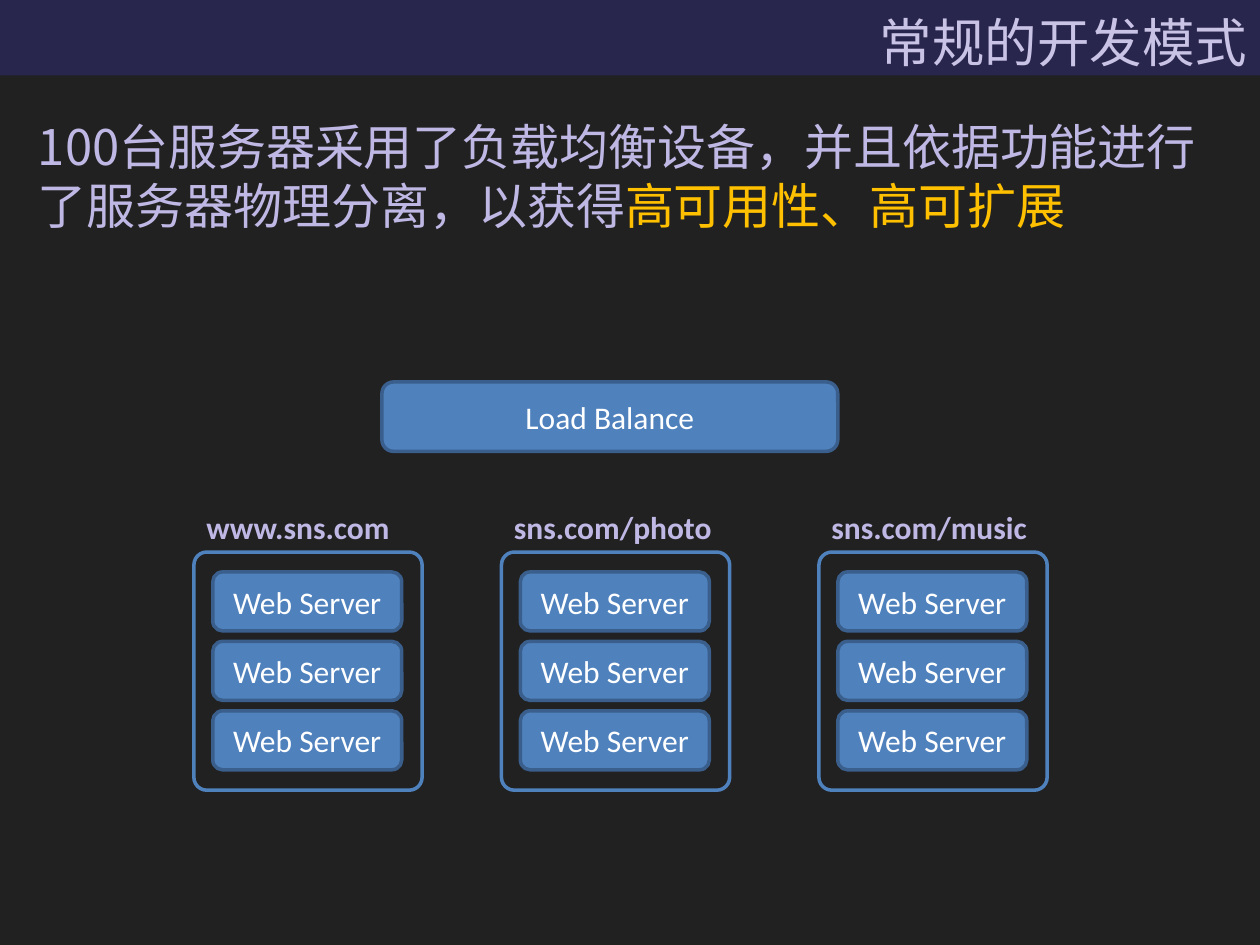
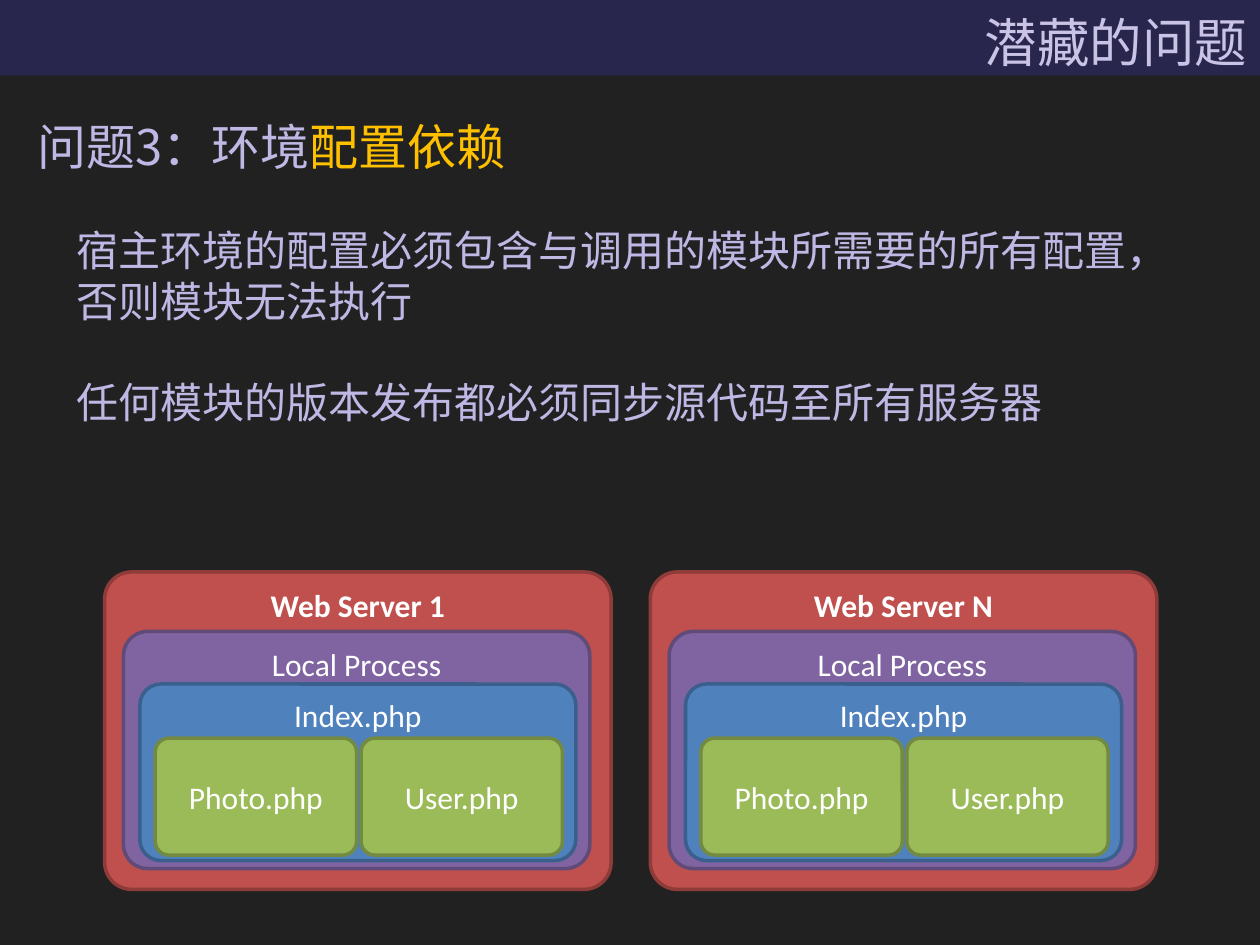
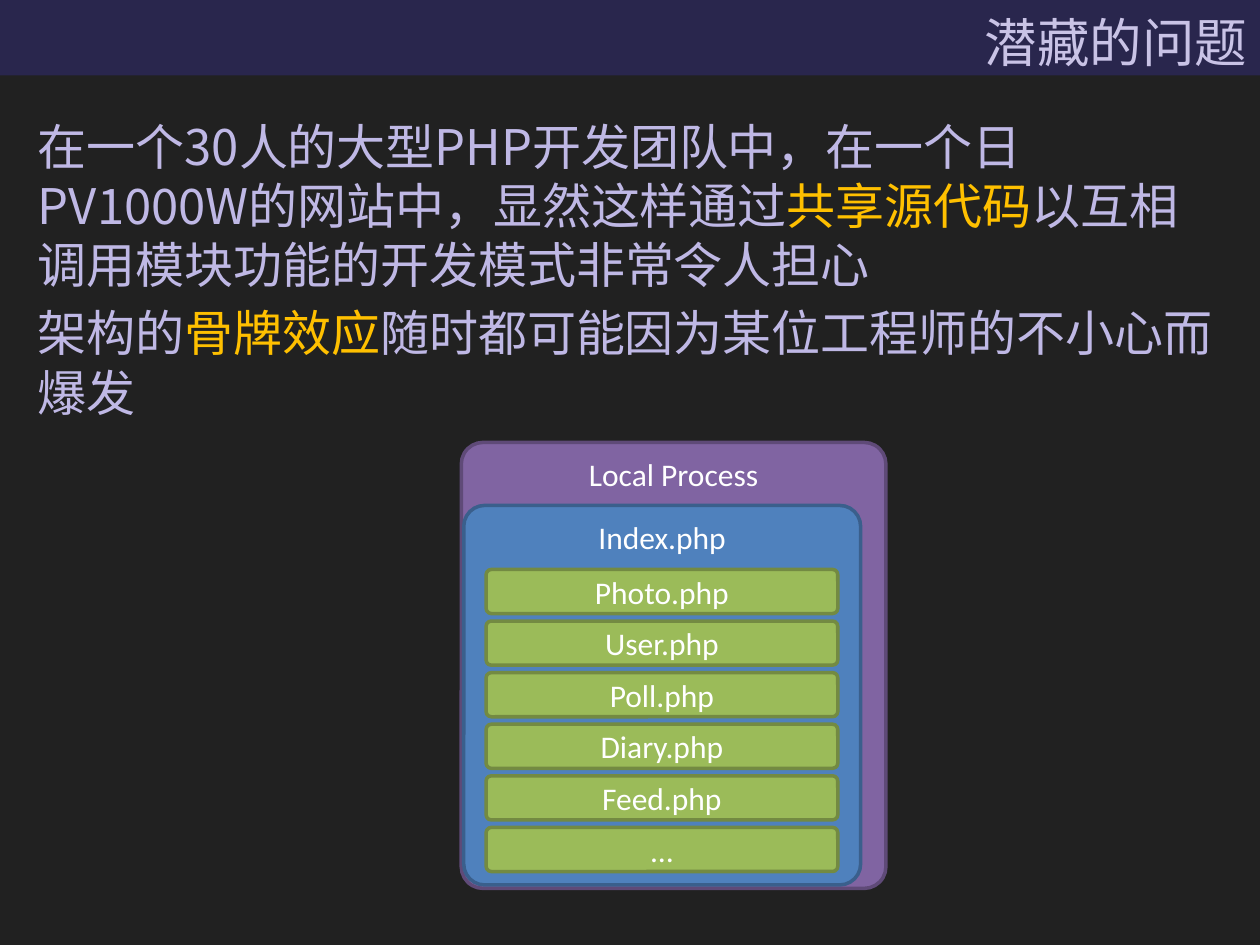
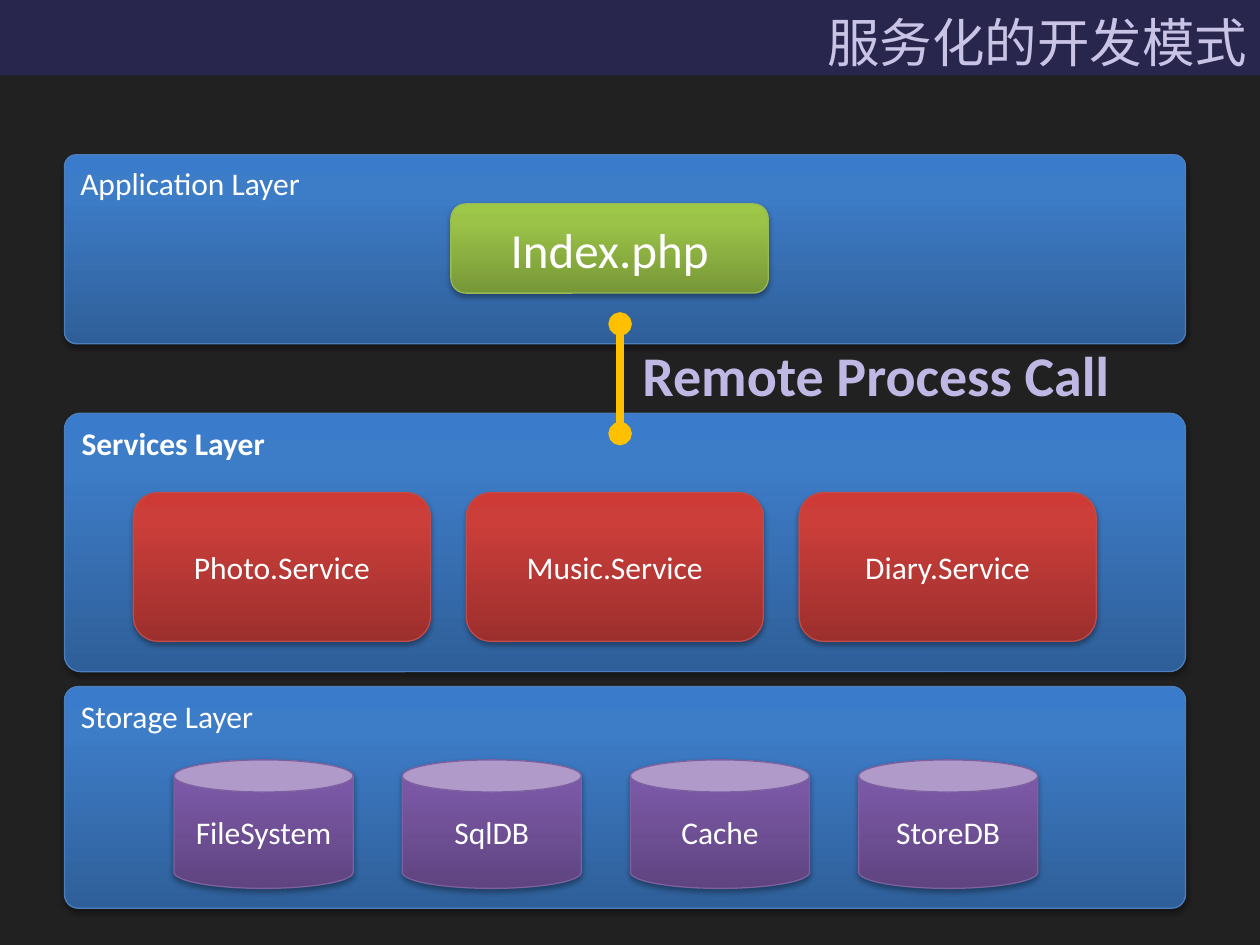
"""Build four slides on moving from shared source code to services."""
from lxml import etree
from pptx import Presentation
from pptx.dml.color import RGBColor
from pptx.enum.shapes import MSO_CONNECTOR, MSO_SHAPE
from pptx.enum.text import MSO_ANCHOR, MSO_AUTO_SIZE, PP_ALIGN
from pptx.oxml.ns import qn
from pptx.util import Cm, Pt

ROUND, CAN = MSO_SHAPE.ROUNDED_RECTANGLE, MSO_SHAPE.CAN
LEFT, MID, RIGHT = PP_ALIGN.LEFT, PP_ALIGN.CENTER, PP_ALIGN.RIGHT
TOP, CENTER = MSO_ANCHOR.TOP, MSO_ANCHOR.MIDDLE
STRAIGHT = MSO_CONNECTOR.STRAIGHT
FIXED = MSO_AUTO_SIZE.NONE

LATIN, HAN = "Calibri", "Noto Sans CJK SC"
DARK = RGBColor(0x21, 0x21, 0x21)
BAND = RGBColor(0x29, 0x26, 0x4D)
PALE = RGBColor(0xC9, 0xC3, 0xE6)
LILAC = RGBColor(0xBF, 0xB8, 0xE5)
GOLD = RGBColor(0xFF, 0xC0, 0x00)
WHITE = RGBColor(0xFF, 0xFF, 0xFF)
BLUE = RGBColor(0x4F, 0x81, 0xBD)
NAVY = RGBColor(0x3A, 0x5F, 0x8C)
RED = RGBColor(0xC0, 0x50, 0x4D)
WINE = RGBColor(0x8E, 0x3B, 0x39)
VIOLET = RGBColor(0x80, 0x64, 0xA2)
PLUM = RGBColor(0x5F, 0x4A, 0x78)
GREEN = RGBColor(0x9B, 0xBB, 0x59)
MOSS = RGBColor(0x73, 0x8A, 0x42)

FLAT = {"blue": (BLUE, NAVY), "red": (RED, WINE),
        "violet": (VIOLET, PLUM), "green": (GREEN, MOSS)}
GLOSS = {
    "blue": (("2F5F99", "3D7CC7", "3A7CCB"), RGBColor(0x4B, 0x7E, 0xBC)),
    "red": (("9C2F2D", "CB3E3A", "CE3B37"), RGBColor(0xBF, 0x4C, 0x48)),
    "violet": (("5F4480", "7B58A6", "7C57A8"), RGBColor(0x7D, 0x60, 0xA0)),
    "green": (("779737", "9BC348", "9DC746"), RGBColor(0x98, 0xB9, 0x55)),
}
STOPS = (0, 80000, 100000)

# Within a paragraph every second run is highlighted.
PAGES = [
    ("常规的开发模式",
     [("100台服务器采用了负载均衡设备，并且依据功能进行了服务器物理分离，以获得",
       "高可用性、高可扩展")]),
    ("潜藏的问题", [("问题3：环境", "配置依赖")]),
    ("潜藏的问题",
     [("在一个30人的大型PHP开发团队中，在一个日PV1000W的网站中，显然这样通过",
       "共享源代码", "以互相调用模块功能的开发模式非常令人担心"),
      ("架构的", "骨牌效应", "随时都可能因为某位工程师的不小心而爆发")]),
    ("服务化的开发模式", []),
]
SITES = [("www.sns.com", 3.91), ("sns.com/photo", 10.11),
         ("sns.com/music", 16.51)]
NOTES = [("宿主环境的配置必须包含与调用的模块所需要的所有配置，否则模块无法执行",),
         ("任何模块的版本发布都必须同步源代码至所有服务器",)]
HOSTS = [("Web Server 1", 2.11), ("Web Server N", 15.97 - 2.86)]
PROCESS, INDEX = "Local Process", "Index.php"
PARTS = ["Photo.php", "User.php"]
FILES = PARTS + ["Poll.php", "Diary.php", "Feed.php", "…"]
LAYERS = [("Application Layer", 3.12, 3.81, False),
          ("Services Layer", 8.33, 5.21, True),
          ("Storage Layer", 13.84, 4.47, False)]
SERVICES = ["Photo.Service", "Music.Service", "Diary.Service"]
STORES = ["FileSystem", "SqlDB", "Cache", "StoreDB"]


def write(frame, paras, size=18, font=LATIN, color=WHITE, bold=False,
          align=LEFT, anchor=TOP, gap=0):
    frame.word_wrap = True
    frame.auto_size = FIXED
    frame.vertical_anchor = anchor
    if font == HAN:
        frame.margin_top = Cm(0.2)
    for n, runs in enumerate(paras):
        para = frame.paragraphs[0] if n == 0 else frame.add_paragraph()
        para.alignment = align
        para.space_before = Pt(gap if n else 0)
        if font == HAN:
            para.line_spacing = Pt(round(size * 1.21, 1))
        for i, text in enumerate(runs):
            run = para.add_run()
            run.text = text
            face = run.font
            face.size, face.bold, face.name = Pt(size), bold, font
            face.color.rgb = GOLD if i % 2 else color
            if font == HAN:
                props = run._r.get_or_add_rPr()
                etree.SubElement(props, qn("a:ea"), typeface=HAN)


def place(shape, x, y, w, h):
    shape.left, shape.top = Cm(x), Cm(y)
    shape.width, shape.height = Cm(w), Cm(h)


def label(slide, paras, x, y, w, h, **form):
    box = slide.shapes.add_textbox(Cm(x), Cm(y), Cm(w), Cm(h))
    write(box.text_frame, paras, color=LILAC, **form)


def outline(slide, x, y, w, h, kind=ROUND, adj=None):
    shape = slide.shapes.add_shape(kind, Cm(x), Cm(y), Cm(w), Cm(h))
    shape.shadow.inherit = False
    if adj:
        shape.adjustments[0] = adj
    shape.fill.background()
    shape.line.color.rgb = BLUE
    shape.line.width = Pt(2)
    return shape


def block(slide, text, tone, x, y, w, h, adj=None, align=MID,
          anchor=CENTER, **form):
    shape = outline(slide, x, y, w, h, adj=adj)
    shape.fill.solid()
    shape.fill.fore_color.rgb, shape.line.color.rgb = FLAT[tone]
    write(shape.text_frame, [(text,)], align=align, anchor=anchor, **form)


def glossy(slide, text, tone, x, y, w, h, kind=ROUND, adj=None, align=MID,
           anchor=CENTER, **form):
    shape = outline(slide, x, y, w, h, kind, adj)
    shades, edge = GLOSS[tone]
    shape.line.color.rgb = edge
    shape.line.width = Pt(0.75)
    shape.fill.gradient()
    shape.fill.gradient_angle = 90
    props = shape.element.spPr
    stops = props.find(qn("a:gradFill")).find(qn("a:gsLst"))
    for old in list(stops):
        stops.remove(old)
    for pos, shade in zip(STOPS, shades):
        stop = etree.SubElement(stops, qn("a:gs"), pos=str(pos))
        etree.SubElement(stop, qn("a:srgbClr"), val=shade)
    cast = etree.SubElement(props.find(qn("a:effectLst")),
                            qn("a:outerShdw"), blurRad="40000",
                            dist="23000", dir="5400000", rotWithShape="0")
    ink = etree.SubElement(cast, qn("a:srgbClr"), val="000000")
    etree.SubElement(ink, qn("a:alpha"), val="35000")
    write(shape.text_frame, [(text,)], align=align, anchor=anchor, **form)


def link(slide, x, start, end):
    line = slide.shapes.add_connector(STRAIGHT, Cm(x), Cm(start),
                                      Cm(x), Cm(end))
    line.line.color.rgb = GOLD
    line.line.width = Pt(4.5)
    props = line.element.spPr
    for tip in ("a:headEnd", "a:tailEnd"):
        etree.SubElement(props.find(qn("a:ln")), qn(tip), type="oval")
    etree.SubElement(props, qn("a:effectLst"))


def page(deck, title, body):
    slide = deck.slides.add_slide(deck.slide_layouts[1 if body else 5])
    head = slide.shapes.title
    place(head, 0, 0, 25.4, 1.52)
    head.fill.solid()
    head.fill.fore_color.rgb = BAND
    write(head.text_frame, [(title,)], size=30, font=HAN, color=PALE,
          align=RIGHT)
    if body:
        main = slide.placeholders[1]
        place(main, 0.51, 2.13, 24.4, 16.4)
        write(main.text_frame, body, size=28, font=HAN, color=LILAC, gap=5)
        for para in main.text_frame.paragraphs:
            props = para._p.get_or_add_pPr()
            props.set("marL", "0")
            props.set("indent", "0")
            etree.SubElement(props, qn("a:buNone"))
    return slide


def balance(slide):
    for name, x in SITES:
        outline(slide, x, 11.13, 4.6, 4.8, adj=0.056)
        for row in range(3):
            block(slide, "Web Server", "blue", x + 0.38, 11.53 + row * 1.4,
                  3.81, 1.19)
        label(slide, [(name,)], x, 10.11, 4.8, 1.02, bold=True)
    block(slide, "Load Balance", "blue", 7.7, 7.7, 9.19, 1.4)


def hosts(slide):
    label(slide, NOTES, 1.3, 4.32, 22.71, 5.38, size=24, font=HAN, gap=29)
    for name, x in HOSTS:
        block(slide, name, "red", x, 11.53, 10.21, 6.4, 0.085,
              anchor=TOP, bold=True)
        block(slide, PROCESS, "violet", x + 0.38, 12.73, 9.4, 4.78, 0.102,
              anchor=TOP)
        block(slide, INDEX, "blue", x + 0.71, 13.79, 8.79, 3.56, 0.119,
              anchor=TOP)
        for col, part in enumerate(PARTS):
            block(slide, part, "green", x + 1.02 + col * 4.15, 14.88,
                  4.06, 2.36, 0.118)


def stack(slide):
    block(slide, PROCESS, "violet", 9.3, 8.92, 8.56, 8.99, 0.051, anchor=TOP)
    block(slide, INDEX, "blue", 9.35, 10.19, 8, 7.65, 0.055, anchor=TOP)
    for row, name in enumerate(FILES):
        block(slide, name, "green", 9.8, 11.48 + row * 1.04, 7.09, 0.89,
              0.118)


def layers(slide):
    for name, y, h, bold in LAYERS:
        glossy(slide, name, "blue", 1.3, y, 22.6, h, adj=0.062, align=LEFT,
               anchor=TOP, bold=bold)
    for col, name in enumerate(SERVICES):
        glossy(slide, name, "red", 2.69 + col * 6.71, 9.93, 5.99, 3)
    for col, name in enumerate(STORES):
        glossy(slide, name, "violet", 3.51 + col * 4.6, 15.32, 3.61, 2.59,
               kind=CAN)
    glossy(slide, INDEX, "green", 9.09, 4.11, 6.4, 1.8, size=28)
    link(slide, 12.5, 8.74, 6.53)
    label(slide, [("Remote Process Call",)], 12.7, 6.73, 11.99, 1.63,
          size=32, bold=True)


deck = Presentation()
deck.slide_width, deck.slide_height = Cm(25.4), Cm(19.05)
back = deck.slide_master.background.fill
back.solid()
back.fore_color.rgb = DARK
for (title, body), draw in zip(PAGES, (balance, hosts, stack, layers)):
    draw(page(deck, title, body))
deck.save("out.pptx")
